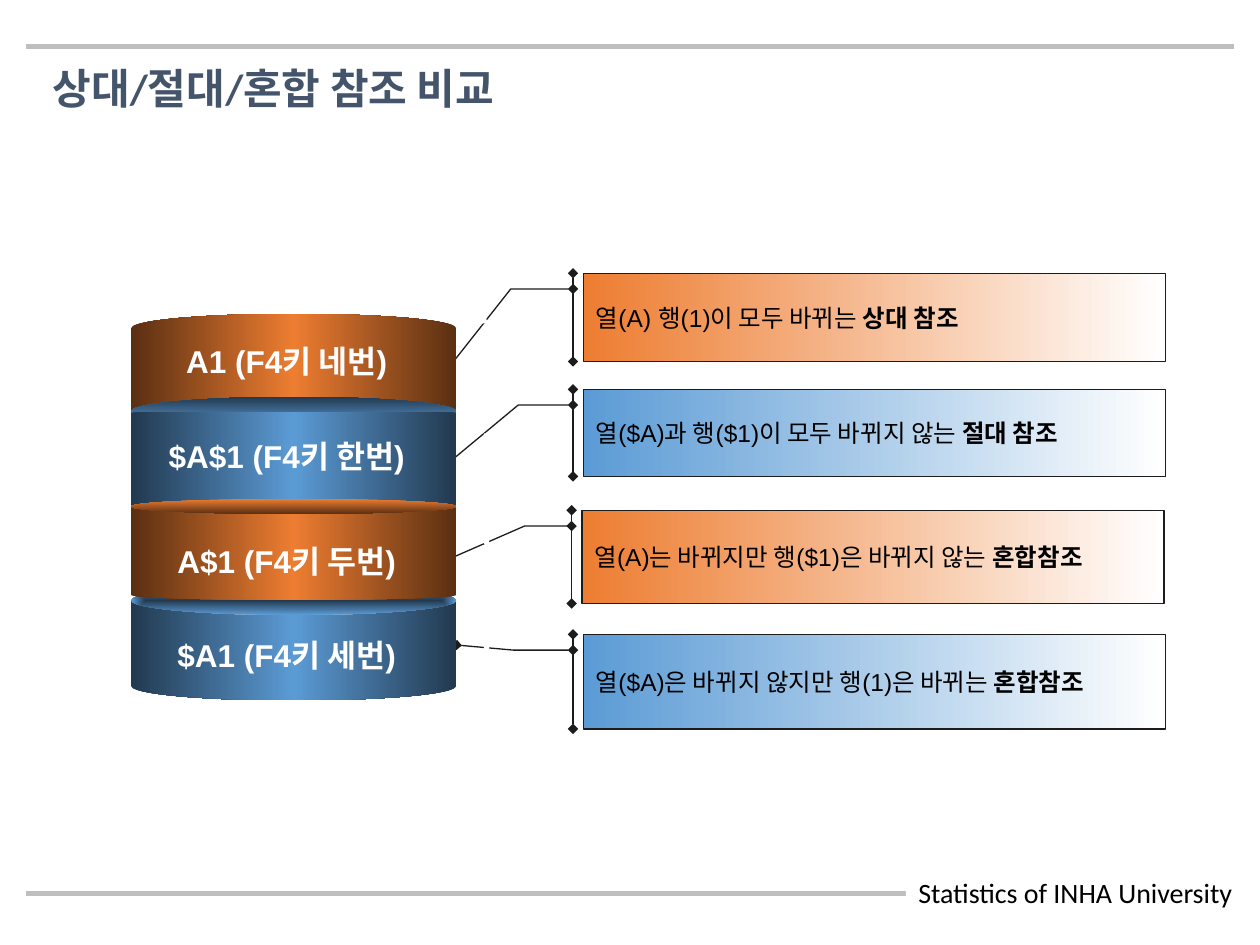
from lxml import etree
from pptx import Presentation
from pptx.dml.color import RGBColor
from pptx.enum.dml import MSO_LINE
from pptx.enum.shapes import MSO_CONNECTOR, MSO_SHAPE
from pptx.enum.text import MSO_ANCHOR, MSO_AUTO_SIZE, PP_ALIGN
from pptx.oxml.ns import qn
from pptx.util import Pt

CAN, OVAL, RECT = MSO_SHAPE.CAN, MSO_SHAPE.OVAL, MSO_SHAPE.RECTANGLE
ROUND = MSO_SHAPE.ROUNDED_RECTANGLE
CALLOUT = MSO_SHAPE.LINE_CALLOUT_2_BORDER_AND_ACCENT_BAR
STRAIGHT, DOTS = MSO_CONNECTOR.STRAIGHT, MSO_LINE.ROUND_DOT
LEFT, CENTER = PP_ALIGN.LEFT, PP_ALIGN.CENTER
TOP, MIDDLE = MSO_ANCHOR.TOP, MSO_ANCHOR.MIDDLE
GROW = MSO_AUTO_SIZE.SHAPE_TO_FIT_TEXT

ORANGE, BLUE, WHITE, BLACK = "ED7D31", "5B9BD5", "FFFFFF", "000000"
RUST, NAVY, GRAY, INK = "5A2F12", "22394F", "BFBFBF", "1C1C1C"
WARM, COOL = (RUST, ORANGE, RUST), (NAVY, BLUE, NAVY)

TITLE = {"name": "Calibri", "size": Pt(24), "bold": True}
FOOT = {"name": "Calibri", "size": Pt(16)}
NOTE = {"name": "Arial", "size": Pt(14)}
LABEL = {"name": "Arial", "size": Pt(18), "bold": True}

NOTES = [
    ((333.4, 156.2, 332.6, 50.4), ORANGE, (0.178, -0.018, 0.178, -0.125, 1.106, -0.236),
     "열(A) 행(1)이 모두 바뀌는 ", "상대 참조"),
    ((332.6, 291.6, 332.6, 53.3), ORANGE, (0.17, -0.018, 0.17, -0.099, 0.535, -0.233),
     "열(A)는 바뀌지만 행($1)은 바뀌지 않는 ", "혼합참조"),
    ((333.4, 362.5, 332.6, 54), BLUE, (0.167, -0.018, 0.167, -0.12, 0.113, -0.218),
     "열($A)은 바뀌지 않지만 행(1)은 바뀌는 ", "혼합참조"),
    ((333.4, 222.5, 332.6, 49.7), BLUE, (0.18, -0.018, 0.18, -0.112, 0.868, -0.236),
     "열($A)과 행($1)이 모두 바뀌지 않는 ", "절대 참조"),
]
DISKS = [
    (CAN, 179.3, 65.5, WARM, 0, True, [0.254]),
    (OVAL, 226.8, 16.6, (BLUE, NAVY), 90, True, []),
    (CAN, 235.4, 54, COOL, 0, True, [0.015]),
    (CAN, 334.8, 65.5, COOL, 0, False, [0.254]),
    (OVAL, 334.8, 16.6, (NAVY, BLUE), None, False, []),
    (CAN, 286.6, 56.2, WARM, 0, False, [0.1]),
    (OVAL, 285.1, 8.6, (ORANGE, RUST), 90, False, []),
]
LABELS = [
    (192.2, "A1 (F4키 네번)"),
    (246.2, "$A$1 (F4키 한번)"),
    (306, "A$1 (F4키 두번)"),
    (360, "$A1 (F4키 세번)"),
]


def tint(code):
    """Turn a hex string into a colour."""
    return RGBColor.from_string(code)


def blend(shape, codes, angle):
    """Fill with evenly spaced stops, along an angle or from the centre."""
    shape.fill.gradient()
    grad = shape._element.spPr.find(qn("a:gradFill"))
    for child in list(grad):
        grad.remove(child)
    stops = etree.SubElement(grad, qn("a:gsLst"))
    for i, code in enumerate(codes):
        stop = etree.SubElement(stops, qn("a:gs"), pos=str(i * 100000 // (len(codes) - 1)))
        etree.SubElement(stop, qn("a:srgbClr"), val=code)
    if angle is None:
        way = etree.SubElement(grad, qn("a:path"), path="shape")
        etree.SubElement(way, qn("a:fillToRect"), dict.fromkeys("ltrb", "50000"))
    else:
        etree.SubElement(grad, qn("a:lin"), ang=str(angle * 60000), scaled="1")


def add_form(slide, kind, box, adjust=()):
    """Add a preset shape without shadow, fill or line."""
    shape = slide.shapes.add_shape(kind, *map(Pt, box))
    shape.shadow.inherit = False
    shape.fill.background()
    shape.line.fill.background()
    for i, value in enumerate(adjust):
        shape.adjustments[i] = value
    return shape


def write(shape, parts, style, code, align=LEFT, anchor=TOP, wrap=True):
    """Write one paragraph of (text, extra format) runs."""
    frame = shape.text_frame
    frame.word_wrap, frame.vertical_anchor = wrap, anchor
    para = frame.paragraphs[0]
    para.alignment = align
    for text, extra in parts:
        run = para.add_run()
        run.text = text
        run.font.color.rgb = tint(code)
        for key, value in {**style, **extra}.items():
            setattr(run.font, key, value)


def add_text(slide, box, text, style, code, align=LEFT):
    """Add a text box that grows with its text."""
    area = slide.shapes.add_textbox(*map(Pt, box))
    write(area, [(text, {})], style, code, align)
    area.text_frame.auto_size = GROW


def add_rule(slide, y):
    """Add a gray rule across the slide."""
    rule = slide.shapes.add_connector(STRAIGHT, Pt(15.1), Pt(y), Pt(704.9), Pt(y))
    rule.line.color.rgb = tint(GRAY)
    rule.line.width = Pt(3)
    etree.SubElement(rule._element.spPr, qn("a:effectLst"))


def add_note(slide, box, code, adjust, text, term):
    """Add a callout that fades to white and ends in a bold term."""
    note = add_form(slide, CALLOUT, box, adjust)
    blend(note, (code, WHITE), 0)
    note.line.color.rgb = tint(INK)
    note.line.width = Pt(0.75)
    line = note._element.spPr.find(qn("a:ln"))
    for end in ("a:headEnd", "a:tailEnd"):
        etree.SubElement(line, qn(end), type="diamond")
    write(note, [(text, {}), (term, {"bold": True})], NOTE, BLACK, anchor=MIDDLE)


def add_disk(slide, kind, top, height, codes, angle, flip, adjust):
    """Add one can or lid of the stack."""
    disk = add_form(slide, kind, (74.9, top, 185.8, height), adjust)
    blend(disk, codes, angle)
    if flip:
        disk._element.spPr.xfrm.set("flipV", "1")


def add_foot(slide):
    """Add the footer on its white plate."""
    plate = add_form(slide, RECT, (517.7, 496.8, 196.6, 26.6))
    plate.fill.solid()
    plate.fill.fore_color.rgb = tint(WHITE)
    write(plate, [("Statistics of INHA University", {})], FOOT, BLACK, wrap=False)
    plate.text_frame.auto_size = GROW


def add_frame(slide):
    """Add the dotted white frame around the stack."""
    frame = add_form(slide, ROUND, (56.2, 156.2, 221.8, 275.8), [0.167])
    frame.line.color.rgb = tint(WHITE)
    frame.line.width = Pt(3)
    frame.line.dash_style = DOTS


def main():
    """Build and save the slide."""
    deck = Presentation()
    deck.slide_width, deck.slide_height = Pt(720), Pt(540)
    slide = deck.slides.add_slide(deck.slide_layouts[6])
    for y in (510.5, 26.6):
        add_rule(slide, y)
    add_foot(slide)
    add_text(slide, (23, 32.4, 288.7, 36), "상대/절대/혼합 참조 비교", TITLE, "44546A")
    for note in NOTES:
        add_note(slide, *note)
    for disk in DISKS:
        add_disk(slide, *disk)
    for top, text in LABELS:
        add_text(slide, (83.5, top, 160.6, 28.8), text, LABEL, WHITE, CENTER)
    add_frame(slide)
    deck.save("out.pptx")


if __name__ == "__main__":
    main()
